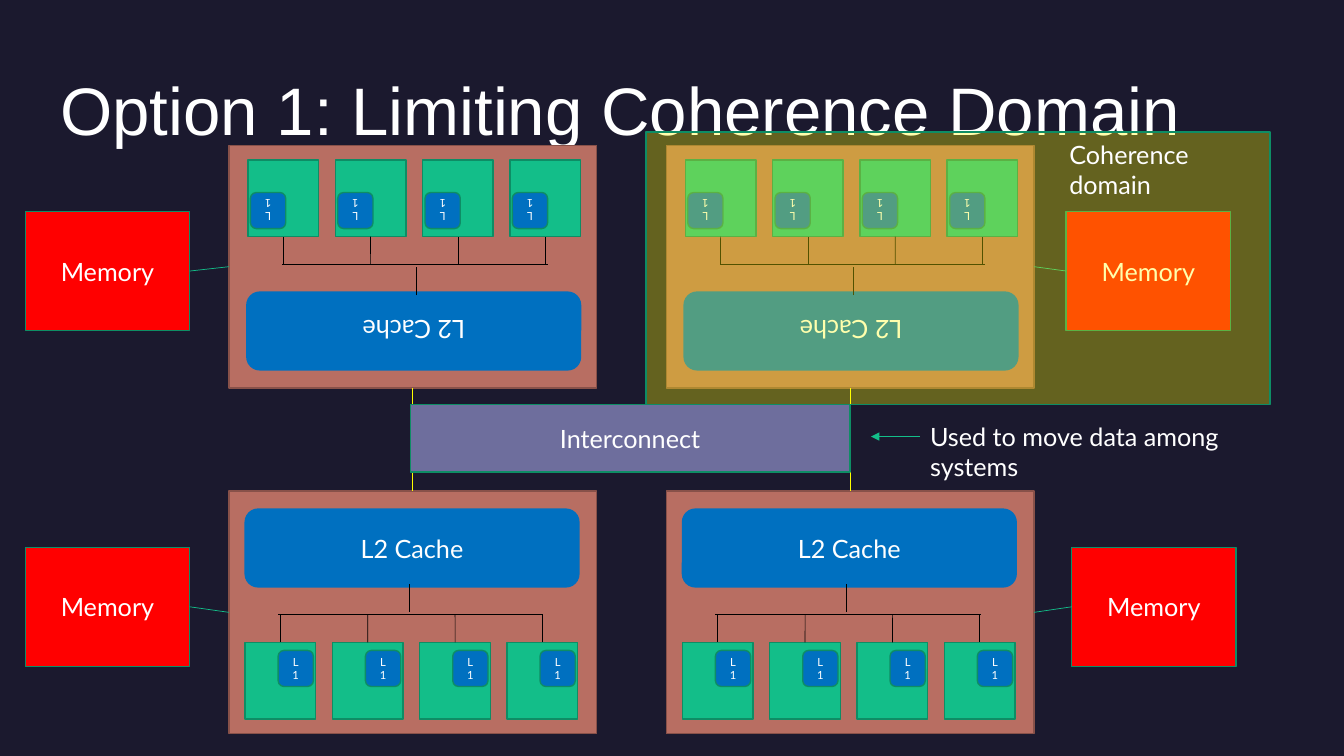
from dataclasses import dataclass

from lxml.etree import SubElement
from pptx import Presentation
from pptx.dml.color import RGBColor
from pptx.enum.shapes import MSO_CONNECTOR, MSO_SHAPE
from pptx.enum.text import MSO_ANCHOR, PP_ALIGN
from pptx.oxml.ns import qn
from pptx.util import Cm, Pt


@dataclass(frozen=True)
class Theme:
    background: str = "1B192E"
    text: str = "FFFFFF"
    module: str = "B86E62"
    module_edge: str = "885149"
    cache: str = "0070C0"
    core: str = "13BE89"
    edge: str = "0E8D65"
    bus: str = "000000"
    memory: str = "FF0000"
    interconnect: str = "6E6E9D"
    highlight: str = "FFFF00"
    domain_alpha: int = 32000
    title_font: str = "Arial"
    body_font: str = "Lato"
    title_size: int = 48
    body_size: int = 18
    small_size: int = 8
    thin: float = 0.5
    outline: float = 1


@dataclass(frozen=True)
class Area:
    left: float
    top: float
    width: float
    height: float

    def lengths(self):
        return Cm(self.left), Cm(self.top), Cm(self.width), Cm(self.height)


@dataclass(frozen=True)
class Tile:
    area: Area
    fill: str
    edge: str
    text: str = ""
    size: int = 18
    rounded: bool = False
    rotation: int = 0


@dataclass(frozen=True)
class Module:
    left: float
    top: float
    flipped: bool

    def place(self, part: Area) -> Area:
        x, y = part.left, part.top
        if self.flipped:
            x = MODULE_WIDTH - x - part.width
            y = MODULE_HEIGHT - y - part.height
        return Area(self.left + x, self.top + y, part.width, part.height)

    def point(self, x: float, y: float):
        spot = self.place(Area(x, y, 0, 0))
        return spot.left, spot.top


THEME = Theme()
MODULE_WIDTH, MODULE_HEIGHT = 9.27, 6.12
LEFT, RIGHT = 5.77, 16.79
UPPER, LOWER = 3.66, 12.37
CORE_COUNT, CORE_PITCH = 4, 2.2
BUS_Y = 3.12
SITE_TOP, SITE_LEFT, SITE_BOTTOM, SITE_RIGHT = range(4)


def colour(code: str) -> RGBColor:
    return RGBColor.from_string(code)


def write(para, text: str, size: int, font: str) -> None:
    span = para.add_run()
    span.text = text
    span.font.size = Pt(size)
    span.font.name = font
    span.font.color.rgb = colour(THEME.text)


def draw_tile(page, tile: Tile):
    kind = MSO_SHAPE.ROUNDED_RECTANGLE if tile.rounded else MSO_SHAPE.RECTANGLE
    box = page.shapes.add_shape(kind, *tile.area.lengths())
    box.shadow.inherit = False
    box.rotation = tile.rotation
    box.fill.solid()
    box.fill.fore_color.rgb = colour(tile.fill)
    box.line.color.rgb = colour(tile.edge)
    box.line.width = Pt(THEME.outline)
    if tile.text:
        box.text_frame.vertical_anchor = MSO_ANCHOR.MIDDLE
        para = box.text_frame.paragraphs[0]
        para.alignment = PP_ALIGN.CENTER
        write(para, tile.text, tile.size, THEME.body_font)
    return box


def draw_line(page, start, end, line_colour: str):
    line = page.shapes.add_connector(
        MSO_CONNECTOR.STRAIGHT, *(Cm(value) for value in (*start, *end)))
    line.line.color.rgb = colour(line_colour)
    line.line.width = Pt(THEME.thin)
    SubElement(line._element.spPr, qn("a:effectLst"))
    return line


def join(page, first, first_site: int, second, second_site: int, line_colour: str) -> None:
    line = draw_line(page, (0, 0), (0, 0), line_colour)
    line.begin_connect(first, first_site)
    line.end_connect(second, second_site)


def draw_label(page, area: Area, text: str) -> None:
    box = page.shapes.add_textbox(*area.lengths())
    box.text_frame.word_wrap = True
    write(box.text_frame.paragraphs[0], text, THEME.body_size, THEME.body_font)


def draw_title(page, text: str) -> None:
    title = page.shapes.title
    title.left, title.top, title.width, title.height = Area(1.52, 1.52, 30.81, 3.71).lengths()
    frame = title.text_frame
    frame.margin_left = frame.margin_top = frame.margin_right = frame.margin_bottom = 0
    frame.vertical_anchor = MSO_ANCHOR.TOP
    para = frame.paragraphs[0]
    para.alignment = PP_ALIGN.LEFT
    para.line_spacing = 1.1
    write(para, text, THEME.title_size, THEME.title_font)


def draw_module(page, module: Module):
    rotation = 180 if module.flipped else 0
    body = draw_tile(page, Tile(module.place(Area(0, 0, MODULE_WIDTH, MODULE_HEIGHT)),
                                THEME.module, THEME.module_edge))
    draw_tile(page, Tile(module.place(Area(0.41, 0.46, 8.41, 1.96)), THEME.cache, THEME.cache,
                         "L2 Cache", THEME.body_size, True, rotation))
    core_site = SITE_BOTTOM if module.flipped else SITE_TOP
    for index in range(CORE_COUNT):
        x = 0.41 + index * CORE_PITCH
        core = draw_tile(page, Tile(module.place(Area(x, 3.82, 1.78, 1.93)),
                                    THEME.core, THEME.edge))
        draw_tile(page, Tile(module.place(Area(x + 0.83, 4.02, 0.89, 0.91)), THEME.cache,
                             THEME.edge, "L1", THEME.small_size, True, rotation))
        middle = module.point(x + 0.89, BUS_Y)
        drop = draw_line(page, middle, middle, THEME.bus)
        drop.end_connect(core, core_site)
    draw_line(page, module.point(1.24, BUS_Y), module.point(7.92, BUS_Y), THEME.bus)
    draw_line(page, module.point(4.55, 2.34), module.point(4.55, 3.05), THEME.bus)
    return body


def draw_memory(page, left: float, top: float):
    return draw_tile(page, Tile(Area(left, top, 4.14, 3), THEME.memory, THEME.edge,
                                "Memory", THEME.body_size))


def main() -> None:
    deck = Presentation()
    deck.slide_width, deck.slide_height = Cm(33.87), Cm(19.05)
    page = deck.slides.add_slide(deck.slide_layouts[5])
    page.background.fill.solid()
    page.background.fill.fore_color.rgb = colour(THEME.background)
    draw_title(page, "Option 1: Limiting Coherence Domain")

    for left, upper_memory, lower_memory in ((LEFT, 0.64, 0.64), (RIGHT, 26.87, 27.01)):
        lower = draw_module(page, Module(left, LOWER, False))
        upper = draw_module(page, Module(left, UPPER, True))
        join(page, upper, SITE_BOTTOM, lower, SITE_TOP, THEME.highlight)
        for body, memory_left, top in ((upper, upper_memory, 5.33), (lower, lower_memory, 13.79)):
            memory = draw_memory(page, memory_left, top)
            if left == LEFT:
                join(page, memory, SITE_RIGHT, body, SITE_LEFT, THEME.core)
            else:
                join(page, body, SITE_RIGHT, memory, SITE_LEFT, THEME.core)

    draw_tile(page, Tile(Area(10.34, 10.2, 11.08, 1.7), THEME.interconnect, THEME.edge,
                         "Interconnect", THEME.body_size))
    draw_label(page, Area(23.19, 10.49, 9.83, 1.02), "Used to move data among systems")
    arrow = draw_line(page, (23.19, 11), (21.95, 11), THEME.core)
    SubElement(arrow.line._get_or_add_ln(), qn("a:tailEnd"), type="triangle")

    domain = draw_tile(page, Tile(Area(16.28, 3.33, 15.73, 6.87), THEME.highlight, THEME.edge))
    tint = domain._element.spPr.find(qn("a:solidFill")).find(qn("a:srgbClr"))
    SubElement(tint, qn("a:alpha"), val=str(THEME.domain_alpha))
    draw_label(page, Area(26.7, 3.38, 4.52, 1.8), "Coherence domain")
    deck.save("out.pptx")


if __name__ == "__main__":
    main()
